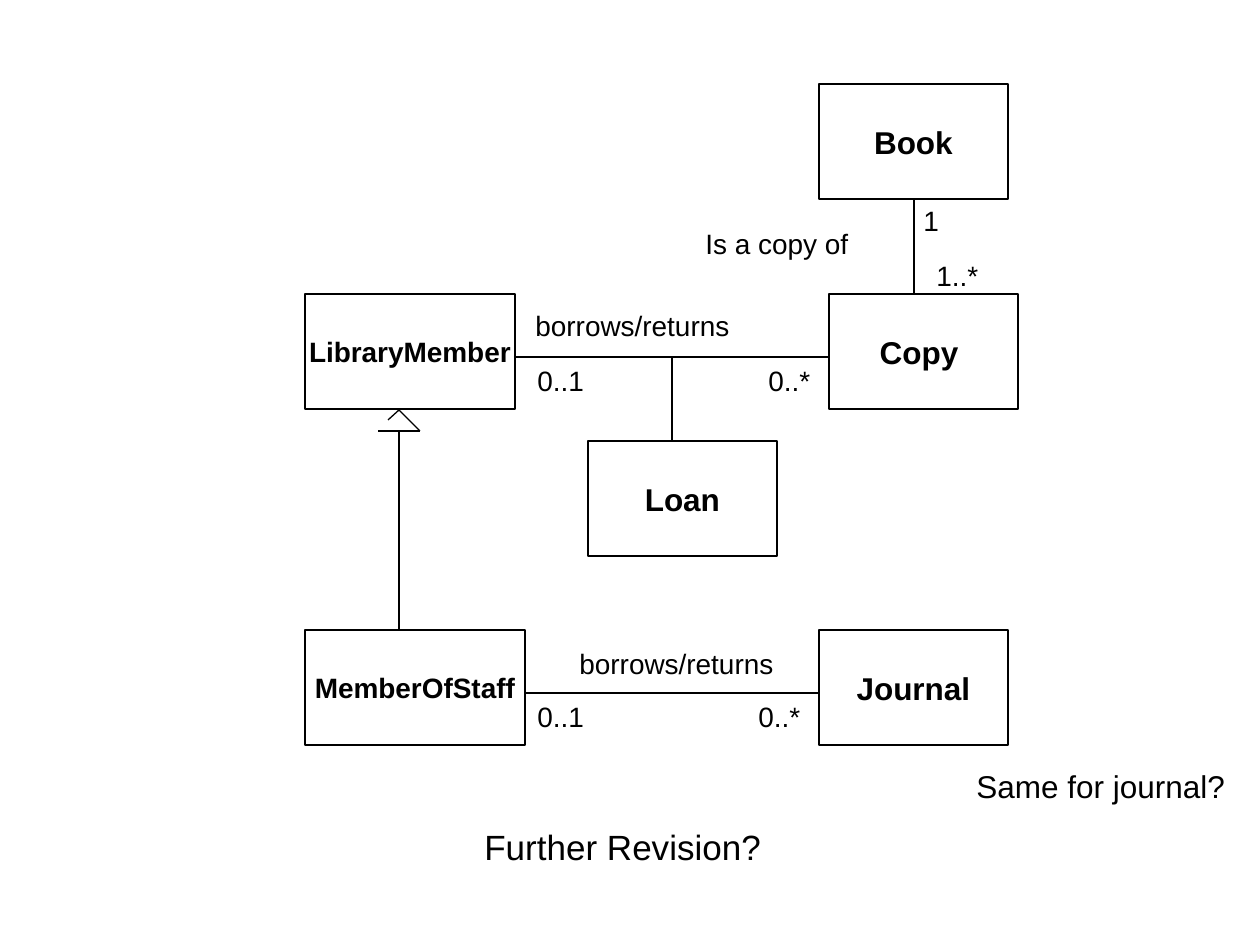
import pptx
import pptx.dml.color
import pptx.enum.shapes
import pptx.enum.text
import pptx.oxml.ns
import pptx.util
import lxml.etree

SCALE = 914400 / 126
BLACK = pptx.dml.color.RGBColor(0, 0, 0)
ALIGN = pptx.enum.text.PP_ALIGN
ANCHOR = pptx.enum.text.MSO_ANCHOR

BOXES = [
    ("Book", 819, 84, 189, 18),
    ("Copy ", 829, 294, 189, 18),
    ("LibraryMember", 305, 294, 210, 16),
    ("MemberOfStaff", 305, 630, 220, 16),
    ("Journal", 819, 630, 189, 18),
    ("Loan", 588, 441, 189, 18),
]
LINES = [
    (525, 693, 819, 693),
    (514, 357, 829, 357),
    (914, 199, 914, 294),
    (672, 357, 672, 441),
    (399, 630, 399, 431),
    (399, 410, 388, 420),
    (378, 431, 420, 431),
    (399, 410, 420, 431),
]
LABELS = [
    ("borrows/returns", 523, 302, 221, 16),
    ("Is a copy of", 693, 220, 170, 16),
    ("borrows/returns", 567, 640, 221, 16),
    ("1", 911, 197, 42, 16),
    ("1..*", 924, 252, 69, 16),
    ("0..1", 525, 357, 74, 16),
    ("0..*", 756, 357, 69, 16),
    ("0..1", 525, 693, 74, 16),
    ("0..*", 746, 693, 69, 16),
    ("Further Revision?", 472, 819, 304, 20),
    ("Same for journal?", 964, 761, 276, 18),
]


def px(*nums):
    """Turn whole pixels into EMU lengths."""
    return [pptx.util.Emu(round(n * SCALE)) for n in nums]


def write(shape, text, size=16, bold=False, align=ALIGN.LEFT, anchor=ANCHOR.TOP):
    """Put one formatted paragraph into a shape."""
    frame = shape.text_frame
    frame.word_wrap = False
    frame.vertical_anchor = anchor
    para = frame.paragraphs[0]
    para.text = text
    para.alignment = align
    font = para.runs[0].font
    font.name = "Arial"
    font.size = pptx.util.Pt(size)
    font.bold = bold
    font.color.rgb = BLACK


def ink(line):
    """Give an outline the thin black stroke."""
    line.color.rgb = BLACK
    line.width = pptx.util.Pt(0.75)


def box(slide, name, left, top, width, size):
    """Draw one class box with its name."""
    kind = pptx.enum.shapes.MSO_SHAPE.RECTANGLE
    shape = slide.shapes.add_shape(kind, *px(left, top, width, 115))
    shape.shadow.inherit = False
    shape.fill.background()
    ink(shape.line)
    write(shape, name, size=size, bold=True, align=ALIGN.CENTER, anchor=ANCHOR.MIDDLE)


def link(slide, *ends):
    """Draw one straight line between two points."""
    kind = pptx.enum.shapes.MSO_CONNECTOR.STRAIGHT
    line = slide.shapes.add_connector(kind, *px(*ends))
    ink(line.line)
    props = line._element.spPr
    lxml.etree.SubElement(props, pptx.oxml.ns.qn("a:effectLst"))


def label(slide, text, left, top, width, size):
    """Place one plain text label."""
    high = {16: 47, 18: 50, 20: 55}[size]
    shape = slide.shapes.add_textbox(*px(left, top, width, high))
    write(shape, text, size=size)
    shape.text_frame.auto_size = pptx.enum.text.MSO_AUTO_SIZE.SHAPE_TO_FIT_TEXT


def main():
    """Build the library class diagram."""
    deck = pptx.Presentation()
    deck.slide_width, deck.slide_height = px(1260, 945)
    slide = deck.slides.add_slide(deck.slide_layouts[6])
    for draw, rows in ((box, BOXES), (link, LINES), (label, LABELS)):
        for row in rows:
            draw(slide, *row)
    deck.save("out.pptx")


if __name__ == "__main__":
    main()
